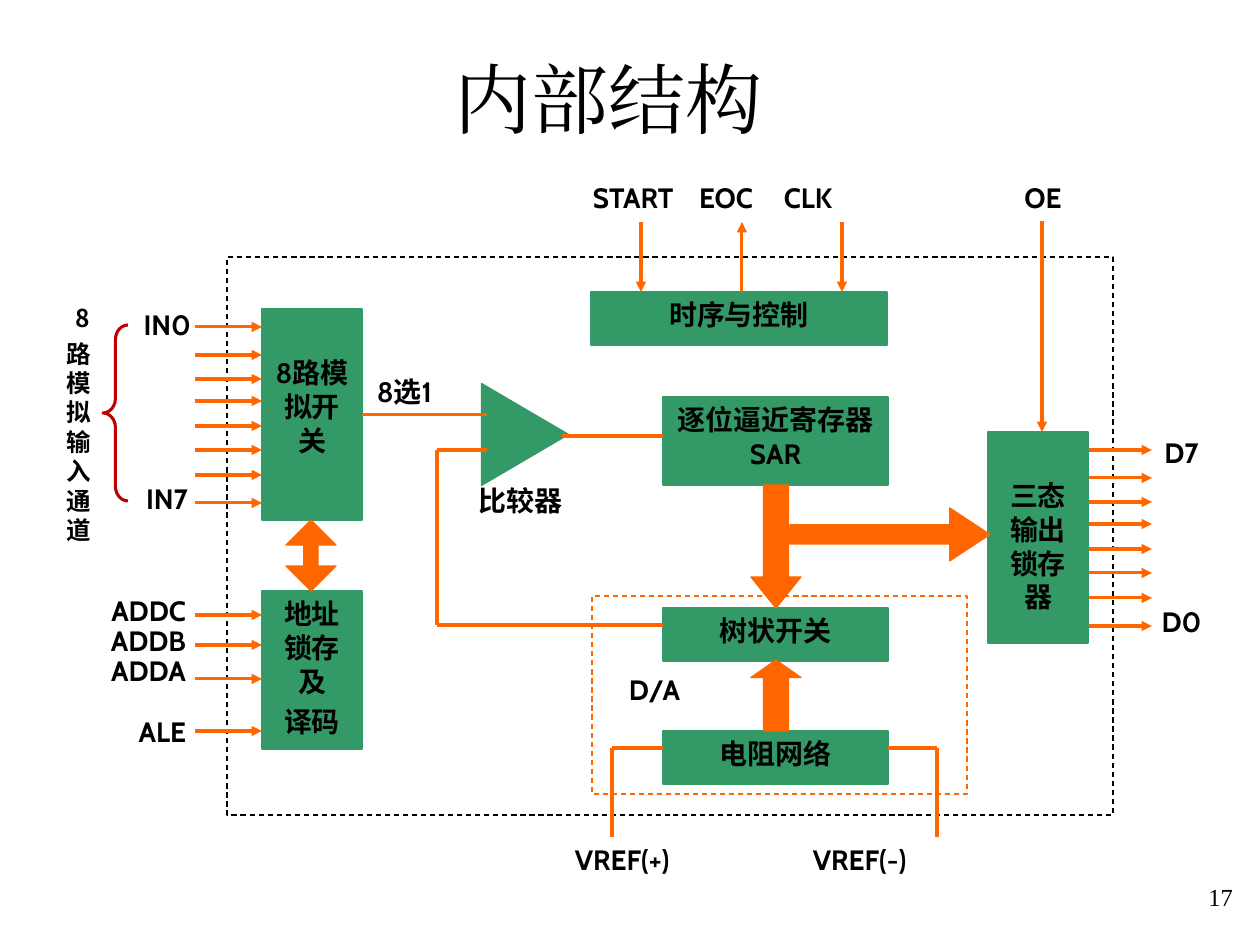
from dataclasses import dataclass
from itertools import pairwise

from pptx import Presentation
from pptx.dml.color import RGBColor
from pptx.enum.dml import MSO_LINE as Dash
from pptx.enum.shapes import MSO_CONNECTOR as Link, MSO_SHAPE as Kind
from pptx.enum.text import MSO_ANCHOR as Anchor, PP_ALIGN as Align
from pptx.oxml.ns import qn
from pptx.util import Pt
from lxml.etree import SubElement

EMU_PER_PX = 914400 / 126


def px(*lengths):
    return [round(length * EMU_PER_PX) for length in lengths]


@dataclass(frozen=True)
class Theme:
    ink: RGBColor = RGBColor(0, 0, 0)
    block: RGBColor = RGBColor(0x33, 0x99, 0x66)
    signal: RGBColor = RGBColor(0xFF, 0x66, 0x00)
    brace: RGBColor = RGBColor(0xC0, 0, 0)
    label_font: str = "Cabin"
    channel_font: str = "Noto Sans CJK SC"
    serif_font: str = "Times New Roman"
    title_size: int = 44
    label_size: int = 16
    small_size: int = 14
    thin: float = 0.75
    wire: float = 1.75


class Diagram:
    """Draws styled diagram elements on one slide."""

    def __init__(self, slide, theme):
        self.shapes = slide.shapes
        self.theme = theme

    def fill_text(self, frame, lines, align, size=None, font=None, east=None,
                  bold=True, before=0, spacing=None, top=6, anchor=Anchor.TOP):
        frame.word_wrap = True
        frame.vertical_anchor = anchor
        frame.margin_left, frame.margin_top, frame.margin_right, frame.margin_bottom = px(13, top, 13, 6)
        for index, text in enumerate(lines):
            para = frame.add_paragraph() if index else frame.paragraphs[0]
            para.alignment = align
            if spacing:
                para.line_spacing = spacing
            if index and before:
                para.space_before = Pt(before)
            span = para.add_run()
            span.text = text
            span.font.size = Pt(size or self.theme.label_size)
            span.font.bold = bold
            span.font.color.rgb = self.theme.ink
            span.font.name = font or self.theme.label_font
            east_font = SubElement(span.font._element, qn("a:ea"))
            east_font.set("typeface", east or span.font.name)

    def label(self, bounds, *lines, align=Align.LEFT, **style):
        box = self.shapes.add_textbox(*px(*bounds))
        self.fill_text(box.text_frame, lines, align, **style)

    def shape(self, kind, bounds, fill=None, line=None, weight=None, dash=None, adjust=(), turn=0):
        shape = self.shapes.add_shape(kind, *px(*bounds))
        shape.shadow.inherit = False
        shape.rotation = turn
        for index, value in enumerate(adjust):
            shape.adjustments[index] = value
        if fill is None:
            shape.fill.background()
        else:
            shape.fill.solid()
            shape.fill.fore_color.rgb = fill
        if line is None:
            shape.line.fill.background()
        else:
            shape.line.color.rgb = line
            shape.line.width = Pt(weight or self.theme.thin)
            if dash:
                shape.line.dash_style = dash
        return shape

    def block(self, bounds, *lines, **style):
        color = self.theme.block
        shape = self.shape(Kind.RECTANGLE, bounds, color, color)
        self.fill_text(shape.text_frame, lines, Align.CENTER, **style)

    def bus(self, kind, bounds, *adjust):
        color = self.theme.signal
        self.shape(kind, bounds, color, color, adjust=adjust)

    def frame(self, bounds, color):
        self.shape(Kind.RECTANGLE, bounds, line=color, dash=Dash.DASH)

    def wire(self, *points, arrow=False):
        for start, end in pairwise(points):
            line = self.shapes.add_connector(Link.STRAIGHT, *px(*start, *end))
            line.line.color.rgb = self.theme.signal
            line.line.width = Pt(self.theme.wire)
            if arrow:
                SubElement(line.line._get_or_add_ln(), qn("a:tailEnd")).set("type", "triangle")
            SubElement(line._element.spPr, qn("a:effectLst"))


def main():
    deck = Presentation()
    deck.slide_width, deck.slide_height = px(1260, 945)
    theme = Theme()
    page = Diagram(deck.slides.add_slide(deck.slide_layouts[6]), theme)

    page.label((1149, 876, 97, 63), "17", align=Align.RIGHT,
               size=theme.small_size, font=theme.serif_font, bold=False)
    page.label((72, 35, 1074, 126), "内部结构", align=Align.CENTER, size=theme.title_size,
               font=theme.serif_font, bold=False, anchor=Anchor.MIDDLE)

    page.label((101, 476, 100, 53), "IN7", align=Align.RIGHT)
    page.label((103, 302, 101, 53), "IN0", align=Align.RIGHT)
    page.shape(Kind.LEFT_BRACE, (103, 325, 25, 176), line=theme.brace,
               weight=theme.wire, adjust=(0.58, 0.5))
    page.label((54, 297, 49, 273), "8", "路模拟输入通道", align=Align.RIGHT,
               size=theme.small_size, font=theme.channel_font, east=theme.label_font, before=3.5)
    for left, name in ((580, "START"), (686, "EOC"), (771, "CLK")):
        page.label((left, 175, 120, 57), name)
    page.label((993, 175, 100, 53), "OE", align=Align.CENTER)
    page.label((1142, 430, 79, 228), "D7", "D0", align=Align.CENTER, before=77)
    for left, name in ((562, "VREF(+)"), (800, "VREF(-)")):
        page.label((left, 837, 140, 57), name)
    page.label((74, 591, 125, 130), "ADDC", "ADDB", "ADDA", align=Align.RIGHT, spacing=0.9)
    page.label((74, 712, 125, 53), "ALE", align=Align.RIGHT, spacing=0.9)
    page.label((466, 478, 125, 52), "比较器")
    page.label((364, 369, 125, 52), "8选1")
    page.label((616, 667, 101, 53), "D/A")

    page.frame((227, 257, 886, 558), theme.ink)
    page.block((262, 309, 100, 211), "8路模拟开关", top=47)
    page.block((262, 591, 100, 158), "地址锁存及", "译码", before=4)
    page.block((591, 292, 296, 53), "时序与控制")
    page.block((663, 397, 225, 88), "逐位逼近寄存器SAR")
    page.block((663, 608, 225, 53), "树状开关")
    page.block((663, 731, 225, 53), "电阻网络")
    page.block((988, 432, 100, 211), "三态输出锁存器", top=47)
    page.shape(Kind.ISOSCELES_TRIANGLE, (474, 391, 102, 87), theme.block, theme.block, turn=90)

    page.bus(Kind.UP_ARROW, (751, 660, 50, 71), 0.5, 0.35)
    page.bus(Kind.DOWN_ARROW, (751, 485, 50, 123), 0.5, 0.62)
    page.bus(Kind.RIGHT_ARROW, (790, 508, 200, 53), 0.36, 0.76)
    page.bus(Kind.UP_DOWN_ARROW, (286, 520, 50, 71), 0.5, 0.28)
    page.shape(Kind.RECTANGLE, (775, 528, 59, 15), theme.signal)

    for y in (327, 355, 379, 401, 426, 450, 475, 503):
        page.wire((195, y), (262, y), arrow=True)
        page.wire((1089, y + 123), (1152, y + 123), arrow=True)
    for y in (615, 645, 679, 731):
        page.wire((195, y), (262, y), arrow=True)
    page.wire((1042, 221), (1042, 432), arrow=True)
    page.wire((641, 222), (641, 292), arrow=True)
    page.wire((742, 292), (742, 222), arrow=True)
    page.wire((842, 222), (842, 292), arrow=True)

    page.wire((362, 415), (487, 415))
    page.wire((562, 436), (663, 436))
    page.wire((487, 450), (437, 450), (437, 625), (663, 625))
    page.wire((663, 748), (612, 748), (612, 837))
    page.wire((888, 748), (937, 748), (937, 837))
    page.frame((592, 596, 375, 198), theme.signal)

    deck.save("out.pptx")


if __name__ == "__main__":
    main()
